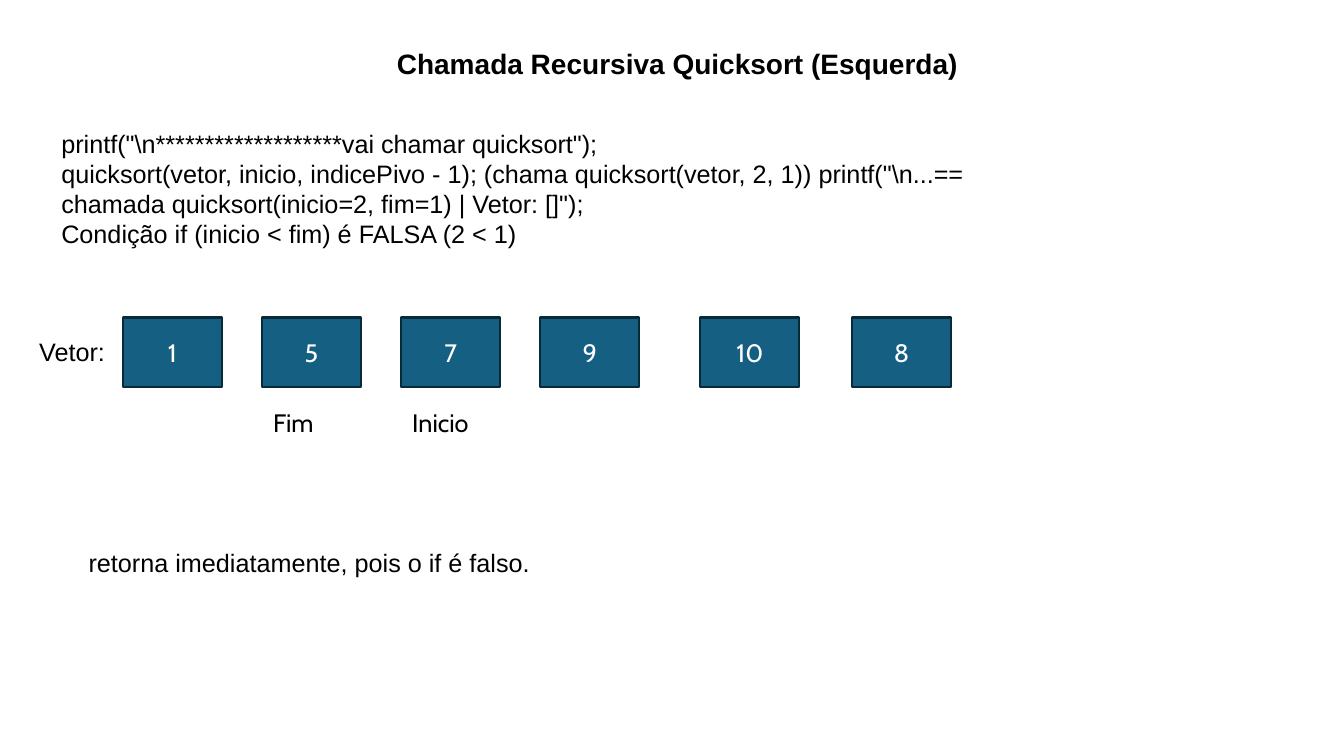
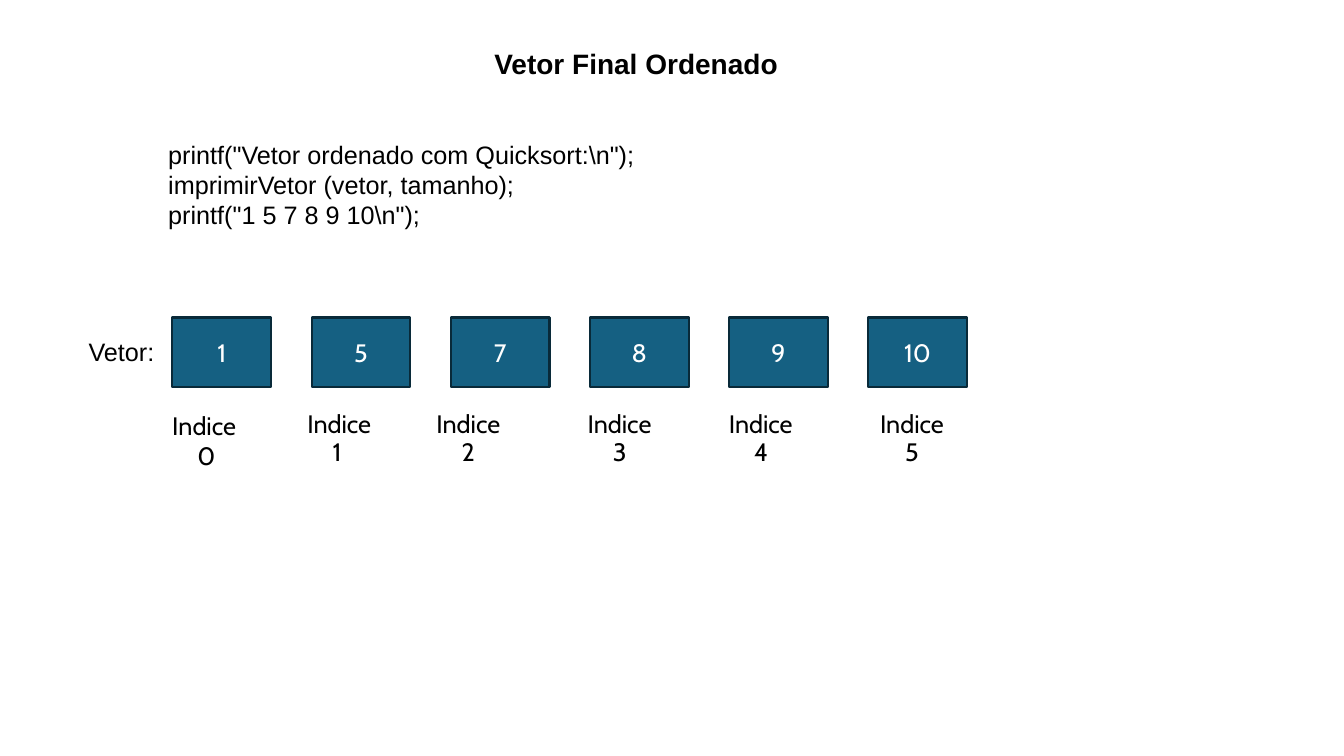
from pptx import Presentation
from pptx.dml.color import RGBColor
from pptx.enum.shapes import MSO_SHAPE
from pptx.enum.text import MSO_ANCHOR, MSO_AUTO_SIZE, PP_ALIGN
from pptx.util import Inches, Pt

BLACK = RGBColor(0x00, 0x00, 0x00)
WHITE = RGBColor(0xFF, 0xFF, 0xFF)
CELL_FILL = RGBColor(0x15, 0x60, 0x82)
CELL_LINE = RGBColor(0x09, 0x2A, 0x39)
CODE_FONT = "Arial"
ARRAY_FONT = "Cabin"
LEFT, CENTER = PP_ALIGN.LEFT, PP_ALIGN.CENTER
TOP, MIDDLE = MSO_ANCHOR.TOP, MSO_ANCHOR.MIDDLE
NO_AUTOFIT = MSO_AUTO_SIZE.NONE
RECTANGLE = MSO_SHAPE.RECTANGLE
TITLE_ONLY = 5

# The array row, in inches
CELL_WIDTH, CELL_HEIGHT = 0.98, 0.69
CELL_PITCH = 1.38
ROW_TOP = 3.15
CAPTION_OFFSET = 0.93
POINTER_TOP = 3.99
INDEX_TOP = 4.02
INDEX_INDENT = 0.25


def write_text(shape, lines, font=CODE_FONT, size=18, color=BLACK, bold=False,
               align=LEFT, anchor=TOP, spacing=None):
    """Fill a shape with one paragraph per line."""
    frame = shape.text_frame
    frame.word_wrap = True
    frame.auto_size = NO_AUTOFIT
    frame.vertical_anchor = anchor
    frame.text = "\n".join(lines)
    for paragraph in frame.paragraphs:
        paragraph.alignment = align
        paragraph.line_spacing = spacing
        paragraph.font.name = font
        paragraph.font.size = Pt(size)
        paragraph.font.bold = bold
        paragraph.font.color.rgb = color


def add_text(slide, left, top, width, height, lines, **text_format):
    shape = slide.shapes.add_textbox(
        Inches(left), Inches(top), Inches(width), Inches(height))
    write_text(shape, lines, **text_format)
    return shape


# Cells are (value, column); a fractional column widens the gap before it.
SLIDES = [
    {
        "title": "Chamada Recursiva Quicksort (Esquerda)",
        "title_box": (2.93, 0.41, 7.58, 0.44),
        "code": [
            'printf("\\n*******************vai chamar quicksort");',
            "quicksort(vetor, inicio, indicePivo - 1); "
            '(chama quicksort(vetor, 2, 1)) printf("\\n...== '
            'chamada quicksort(inicio=2, fim=1) | Vetor: []");',
            "Condição if (inicio < fim) é FALSA (2 < 1)",
        ],
        "code_box": (0.51, 1.22, 10, 1.62),
        "row_left": 1.22,
        "cells": [(1, 0), (5, 1), (7, 2), (9, 3), (10, 4.15), (8, 5.24)],
    },
    {
        "title": "Vetor Final Ordenado",
        "title_box": (1.38, 0.41, 9.86, 0.44),
        "code": [
            'printf("Vetor ordenado com Quicksort:\\n");',
            "imprimirVetor (vetor, tamanho);",
            'printf("1 5 7 8 9 10\\n");',
        ],
        "code_box": (1.57, 1.33, 9.19, 1.31),
        "row_left": 1.71,
        "cells": [(1, 0), (5, 1), (7, 2), (8, 3), (9, 4), (10, 5)],
    },
]

presentation = Presentation()
presentation.slide_width = Inches(13.33)
presentation.slide_height = Inches(7.5)
layout = presentation.slide_layouts[TITLE_ONLY]

for content in SLIDES:
    slide = presentation.slides.add_slide(layout)
    title = slide.shapes.title
    title.left, title.top, title.width, title.height = map(
        Inches, content["title_box"])
    write_text(title, [content["title"]], size=20, bold=True, align=CENTER)
    add_text(slide, *content["code_box"], content["code"])

    row_left = content["row_left"]
    add_text(slide, row_left - CAPTION_OFFSET, ROW_TOP + 0.14, 1, 0.4, ["Vetor:"])
    for value, column in content["cells"]:
        cell = slide.shapes.add_shape(
            RECTANGLE, Inches(row_left + column * CELL_PITCH), Inches(ROW_TOP),
            Inches(CELL_WIDTH), Inches(CELL_HEIGHT))
        cell.shadow.inherit = False
        cell.fill.solid()
        cell.fill.fore_color.rgb = CELL_FILL
        cell.line.color.rgb = CELL_LINE
        cell.line.width = Pt(1.5)
        write_text(cell, [str(value)], font=ARRAY_FONT, color=WHITE,
                   align=CENTER, anchor=MIDDLE)

call_slide, sorted_slide = presentation.slides

# Pointers under the array and the outcome of the call
for name, left in [("Fim", 2.61), ("Inicio", 3.99)]:
    add_text(call_slide, left, POINTER_TOP, 0.85, 0.4, [name], font=ARRAY_FONT)
add_text(call_slide, 0.78, 5.38, 8.36, 0.4,
         ["retorna imediatamente, pois o if é falso."])

# Index labels under the sorted array; the first one is spaced more loosely
for index, left in enumerate([1.61, 2.95, 4.23, 5.73, 7.13, 8.63]):
    label = add_text(sorted_slide, left, INDEX_TOP, 0.92, 0.7,
                     ["Indice", str(index)], font=ARRAY_FONT,
                     spacing=Pt(20.2) if index else None)
    number = label.text_frame.paragraphs[1]
    number._p.get_or_add_pPr().set("marL", str(Inches(INDEX_INDENT)))

presentation.save("out.pptx")
